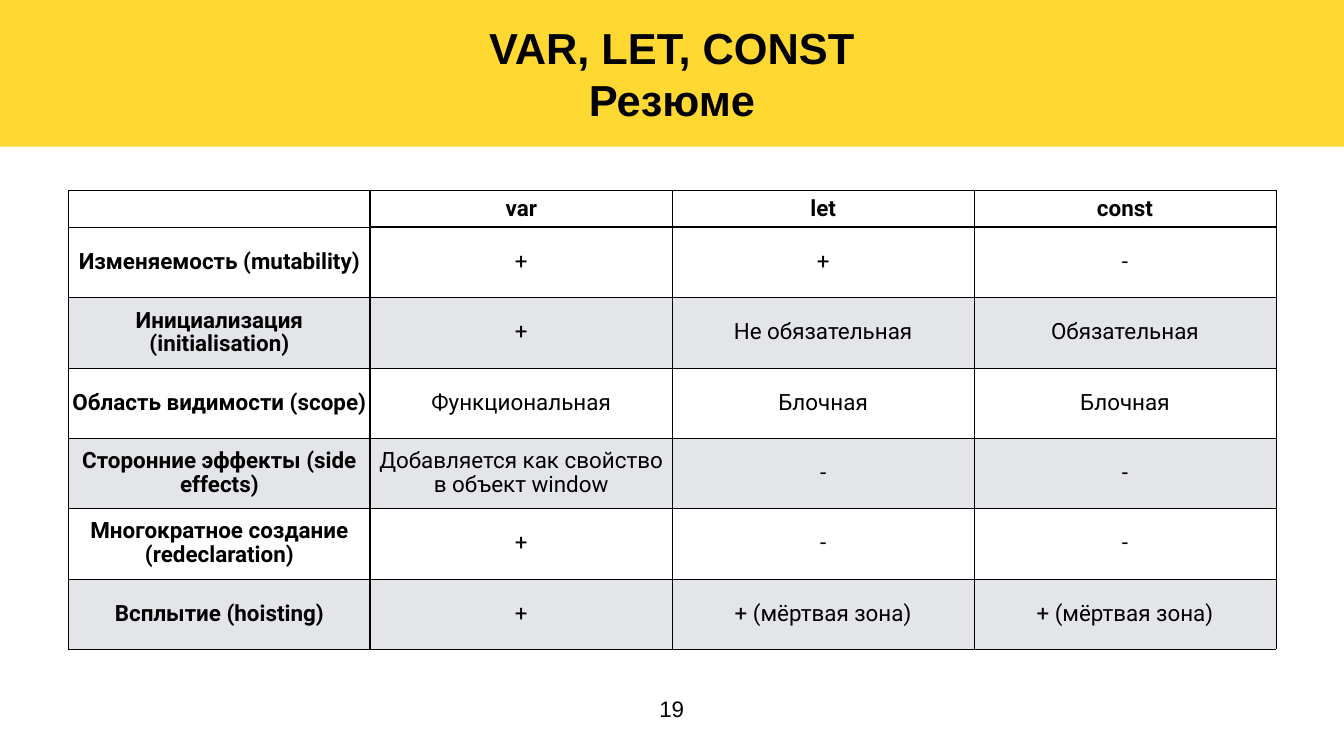
from dataclasses import dataclass

from lxml import etree
from pptx import Presentation
from pptx.dml.color import RGBColor
from pptx.enum.shapes import MSO_SHAPE
from pptx.enum.text import MSO_ANCHOR, PP_ALIGN
from pptx.oxml.ns import qn
from pptx.util import Inches, Pt

RECTANGLE = MSO_SHAPE.RECTANGLE
CENTER = PP_ALIGN.CENTER
MIDDLE = MSO_ANCHOR.MIDDLE
BOTTOM = MSO_ANCHOR.BOTTOM


@dataclass(frozen=True)
class Theme:
    ink: str = "000000"
    banner: str = "FFD932"
    band: str = "E3E5E8"
    heading_font: str = "Arial"
    table_font: str = "Roboto"
    heading_size: int = 62
    body_size: int = 32
    line_spacing: float = 0.9
    inset: float = 0.06
    thin: int = 1
    thick: int = 3


def write_text(frame, text, *, font, size, color, bold=False, spacing=None):
    for index, line in enumerate(text.split("\n")):
        paragraph = frame.paragraphs[0] if index == 0 else frame.add_paragraph()
        paragraph.alignment = CENTER
        if spacing:
            paragraph.line_spacing = spacing
        run = paragraph.add_run()
        run.text = line
        run.font.name = font
        run.font.size = Pt(size)
        run.font.bold = bold
        run.font.color.rgb = RGBColor.from_string(color)


class SlideBuilder:
    def __init__(self, slide, theme):
        self.slide = slide
        self.theme = theme

    def set_insets(self, holder):
        inset = Inches(self.theme.inset)
        holder.margin_left = holder.margin_right = inset
        holder.margin_top = holder.margin_bottom = inset

    def banner(self, text, left, top, width, height):
        theme = self.theme
        banner = self.slide.shapes.add_shape(
            RECTANGLE, Inches(left), Inches(top), Inches(width), Inches(height))
        banner.shadow.inherit = False
        banner.fill.solid()
        banner.fill.fore_color.rgb = RGBColor.from_string(theme.banner)
        banner.line.fill.background()
        frame = banner.text_frame
        frame.word_wrap = True
        frame.vertical_anchor = MIDDLE
        self.set_insets(frame)
        write_text(frame, text, font=theme.heading_font,
                   size=theme.heading_size, color=theme.ink, bold=True)

    def page_number(self, text, left, top, width, height):
        theme = self.theme
        number = self.slide.shapes.add_textbox(
            Inches(left), Inches(top), Inches(width), Inches(height))
        frame = number.text_frame
        frame.word_wrap = False
        frame.vertical_anchor = BOTTOM
        self.set_insets(frame)
        write_text(frame, text, font=theme.heading_font,
                   size=theme.body_size, color=theme.ink)

    def cell_borders(self, cell, widths):
        properties = cell._tc.get_or_add_tcPr()
        for side, width in widths.items():
            line = etree.SubElement(properties, qn(f"a:ln{side}"), w=str(Pt(width)))
            fill = etree.SubElement(line, qn("a:solidFill"))
            etree.SubElement(fill, qn("a:srgbClr"), val=self.theme.ink)

    def table(self, rows, left, top, column_width, row_heights):
        theme = self.theme
        columns = len(rows[0])
        table = self.slide.shapes.add_table(
            len(rows), columns, Inches(left), Inches(top),
            Inches(column_width * columns), Inches(sum(row_heights))).table
        for column in table.columns:
            column.width = Inches(column_width)
        for row, height in zip(table.rows, row_heights):
            row.height = Inches(height)
        for r, row in enumerate(rows):
            for c, text in enumerate(row):
                cell = table.cell(r, c)
                cell.vertical_anchor = MIDDLE
                self.set_insets(cell)
                self.cell_borders(cell, {
                    "L": theme.thick if c == 1 else theme.thin,
                    "R": theme.thick if c == 0 else theme.thin,
                    "T": theme.thick if r == 1 and c > 0 else theme.thin,
                    "B": theme.thick if r == 0 and c > 0 else theme.thin,
                })
                if r > 0 and r % 2 == 0:
                    cell.fill.solid()
                    cell.fill.fore_color.rgb = RGBColor.from_string(theme.band)
                else:
                    cell.fill.background()
                if text:
                    write_text(cell.text_frame, text, font=theme.table_font,
                               size=theme.body_size, color=theme.ink,
                               bold=r == 0 or c == 0, spacing=theme.line_spacing)


COMPARISON = [
    ("", "var", "let", "const"),
    ("Изменяемость (mutability)", "+", "+", "-"),
    ("Инициализация (initialisation)", "+", "Не обязательная", "Обязательная"),
    ("Область видимости (scope)", "Функциональная", "Блочная", "Блочная"),
    ("Сторонние эффекты (side effects)",
     "Добавляется как свойство в объект window", "-", "-"),
    ("Многократное создание (redeclaration)", "+", "-", "-"),
    ("Всплытие (hoisting)", "+", "+ (мёртвая зона)", "+ (мёртвая зона)"),
]


def main():
    presentation = Presentation()
    presentation.slide_width = Inches(26.67)
    presentation.slide_height = Inches(15)
    slide = presentation.slides.add_slide(presentation.slide_layouts[6])
    builder = SlideBuilder(slide, Theme())
    builder.page_number("19", 13.02, 13.74, 0.62, 0.64)
    builder.banner("VAR, LET, CONST\nРезюме", 0, 0, 26.67, 2.91)
    row_heights = [0.73] + [1.395] * (len(COMPARISON) - 1)
    builder.table(COMPARISON, 1.36, 3.78, 5.99, row_heights)
    presentation.save("out.pptx")


if __name__ == "__main__":
    main()
